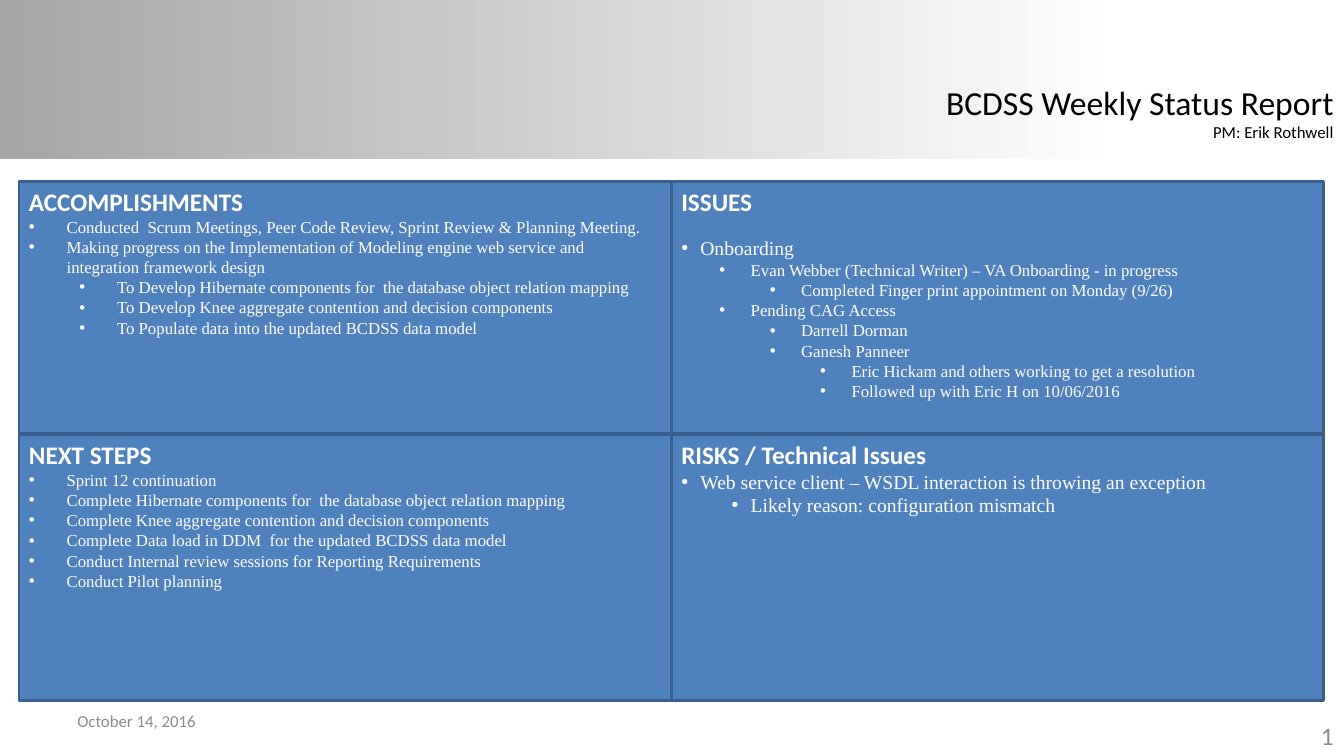
from lxml import etree
from pptx import Presentation
from pptx.dml.color import RGBColor
from pptx.enum.shapes import MSO_SHAPE
from pptx.enum.text import MSO_ANCHOR, PP_ALIGN
from pptx.oxml.ns import qn
from pptx.util import Cm, Pt

RECT = MSO_SHAPE.RECTANGLE
LEFT, RIGHT = PP_ALIGN.LEFT, PP_ALIGN.RIGHT
TOP, MIDDLE = MSO_ANCHOR.TOP, MSO_ANCHOR.MIDDLE

SLIDE_W, SLIDE_H = 33.87, 19.05
GRID_LEFT, PANEL_W = 0.48, 16.44
ROW_TOPS, ROW_HEIGHTS = (4.57, 10.95), (6.36, 6.7)
LEVEL_STEP = 1.27

# Each panel: column, row, heading, format by bullet level, items (level, text)
WIDE = {"hang": 0.95, "size": 12}
NARROW = {"hang": 0.48, "size": 14}
SUB = {"hang": 0.79, "size": 12}
PANELS = [
    (0, 0, "ACCOMPLISHMENTS", [WIDE, WIDE], 0, [
        (0, "Conducted  Scrum Meetings, Peer Code Review, Sprint Review & Planning Meeting."),
        (0, "Making progress on the Implementation of Modeling engine web service and "
            "integration framework design"),
        (1, "To Develop Hibernate components for  the database object relation mapping"),
        (1, "To Develop Knee aggregate contention and decision components"),
        (1, "To Populate data into the updated BCDSS data model"),
    ]),
    (0, 1, "NEXT STEPS", [WIDE], 0, [
        (0, "Sprint 12 continuation"),
        (0, "Complete Hibernate components for  the database object relation mapping"),
        (0, "Complete Knee aggregate contention and decision components"),
        (0, "Complete Data load in DDM  for the updated BCDSS data model"),
        (0, "Conduct Internal review sessions for Reporting Requirements"),
        (0, "Conduct Pilot planning"),
    ]),
    (1, 0, "ISSUES", [NARROW, SUB, SUB, SUB], 14, [
        (0, "Onboarding"),
        (1, "Evan Webber (Technical Writer) – VA Onboarding - in progress"),
        (2, "Completed Finger print appointment on Monday (9/26)"),
        (1, "Pending CAG Access"),
        (2, "Darrell Dorman"),
        (2, "Ganesh Panneer"),
        (3, "Eric Hickam and others working to get a resolution"),
        (3, "Followed up with Eric H on 10/06/2016"),
    ]),
    (1, 1, "RISKS / Technical Issues", [NARROW, NARROW], 0, [
        (0, "Web service client – WSDL interaction is throwing an exception"),
        (1, "Likely reason: configuration mismatch"),
    ]),
]


def rgb(value):
    """Turn a hex string into a colour."""
    return RGBColor.from_string(value)


def write(p, text, size=12, font="Calibri", color="FFFFFF", bold=False,
          align=LEFT, before=0):
    """Put one formatted run into a paragraph."""
    p.alignment = align
    p.space_before = Pt(before)
    r = p.add_run()
    r.text = text
    r.font.size = Pt(size)
    r.font.name = font
    r.font.bold = bold
    r.font.color.rgb = rgb(color)


def set_bullet(p, level, margin, hang):
    """Give a paragraph a hanging round bullet."""
    p.level = level
    pPr = p._p.get_or_add_pPr()
    pPr.set("marL", str(Cm(margin)))
    pPr.set("indent", str(-Cm(hang)))
    etree.SubElement(pPr, qn("a:buFont")).set("typeface", "Arial")
    etree.SubElement(pPr, qn("a:buChar")).set("char", "•")


def add_box(slide, left, top, width, height):
    """Add a rectangle without a shadow."""
    sp = slide.shapes.add_shape(RECT, Cm(left), Cm(top), Cm(width), Cm(height))
    sp.shadow.inherit = False
    return sp


def add_banner(slide):
    """Add the grey gradient across the top."""
    sp = add_box(slide, 0, 0, SLIDE_W, 4.02)
    sp.line.fill.background()
    sp.fill.gradient()
    sp.fill.gradient_angle = 0
    stops = ((0, "A6A6A6"), (0.84, "FFFFFF"))
    for stop, (position, color) in zip(sp.fill.gradient_stops, stops):
        stop.position = position
        stop.color.rgb = rgb(color)


def add_label(slide, left, top, width, height, lines, color, align=LEFT,
              anchor=MIDDLE, wrap=True):
    """Add a text box with one paragraph per (text, size) pair."""
    sp = slide.shapes.add_textbox(Cm(left), Cm(top), Cm(width), Cm(height))
    tf = sp.text_frame
    tf.word_wrap = wrap
    tf.vertical_anchor = anchor
    for i, (text, size) in enumerate(lines):
        p = tf.add_paragraph() if i else tf.paragraphs[0]
        write(p, text, size=size, color=color, align=align)


def add_panel(slide, col, row, heading, formats, gap, items):
    """Add one quadrant with its heading and bullets."""
    sp = add_box(slide, GRID_LEFT + col * PANEL_W, ROW_TOPS[row],
                 PANEL_W, ROW_HEIGHTS[row])
    sp.fill.solid()
    sp.fill.fore_color.rgb = rgb("4F81BD")
    sp.line.color.rgb = rgb("3A5F8C")
    sp.line.width = Pt(2)
    tf = sp.text_frame
    tf.word_wrap = True
    tf.vertical_anchor = TOP
    write(tf.paragraphs[0], heading, size=18, bold=True)
    for i, (level, text) in enumerate(items):
        p = tf.add_paragraph()
        style = formats[level]
        margin = formats[0]["hang"] + level * LEVEL_STEP
        set_bullet(p, level, margin, style["hang"])
        write(p, text, size=style["size"], font="Times New Roman",
              before=0 if i else gap)


def main():
    """Build the status report slide."""
    prs = Presentation()
    prs.slide_width, prs.slide_height = Cm(SLIDE_W), Cm(SLIDE_H)
    slide = prs.slides.add_slide(prs.slide_layouts[6])
    add_banner(slide)
    add_label(slide, 25.96, 18.01, 7.9, 1.02, [("1", 18)], "8C8C8C", align=RIGHT)
    add_label(slide, 23.5, 1.93, 10.36, 1.8,
              [("BCDSS Weekly Status Report", 24), ("PM: Erik Rothwell", 12)],
              "000000", align=RIGHT, anchor=TOP, wrap=False)
    for panel in PANELS:
        add_panel(slide, *panel)
    add_label(slide, 1.7, 17.65, 7.9, 1.02, [("October 14, 2016", 12)], "8C8C8C")
    prs.save("out.pptx")


if __name__ == "__main__":
    main()
